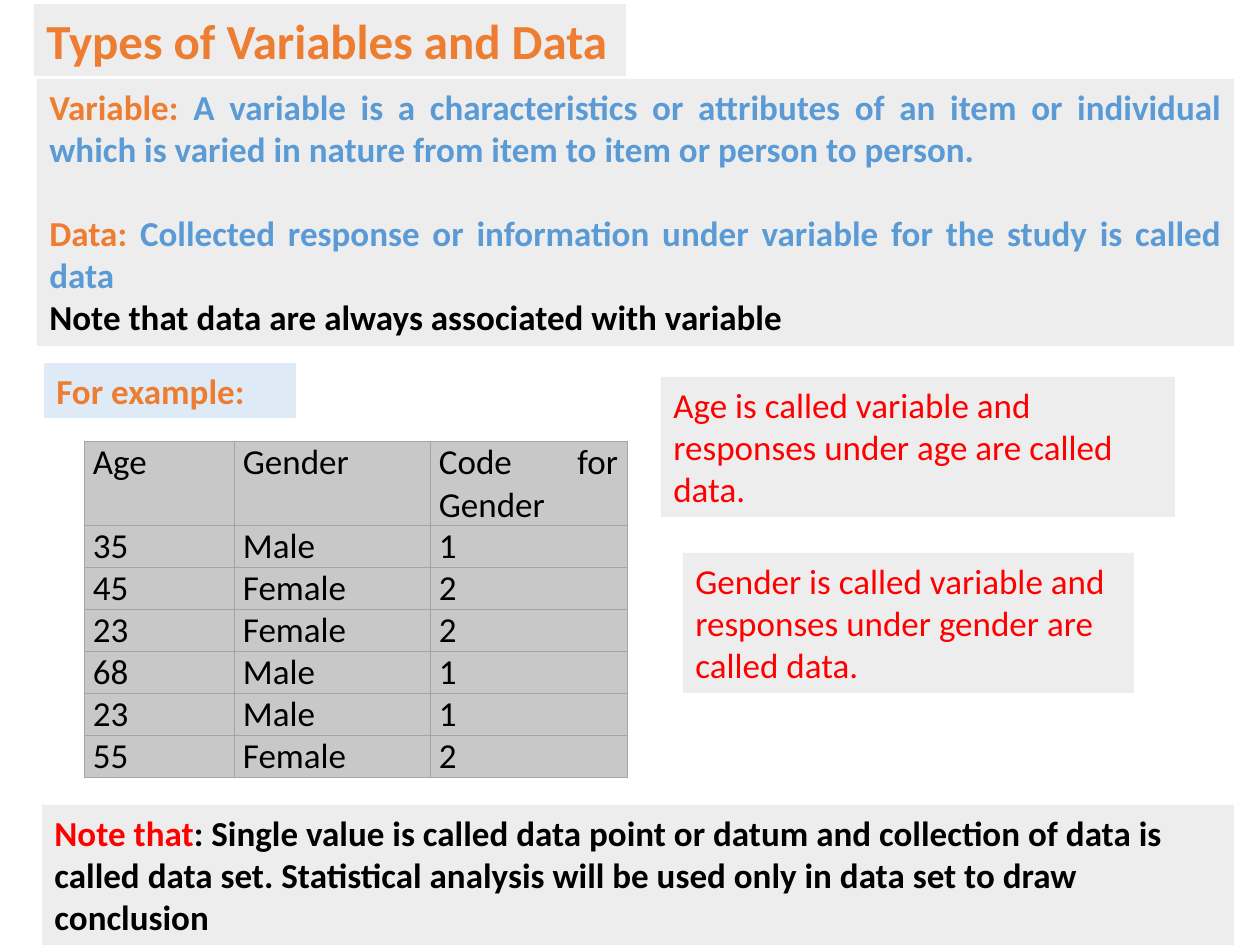
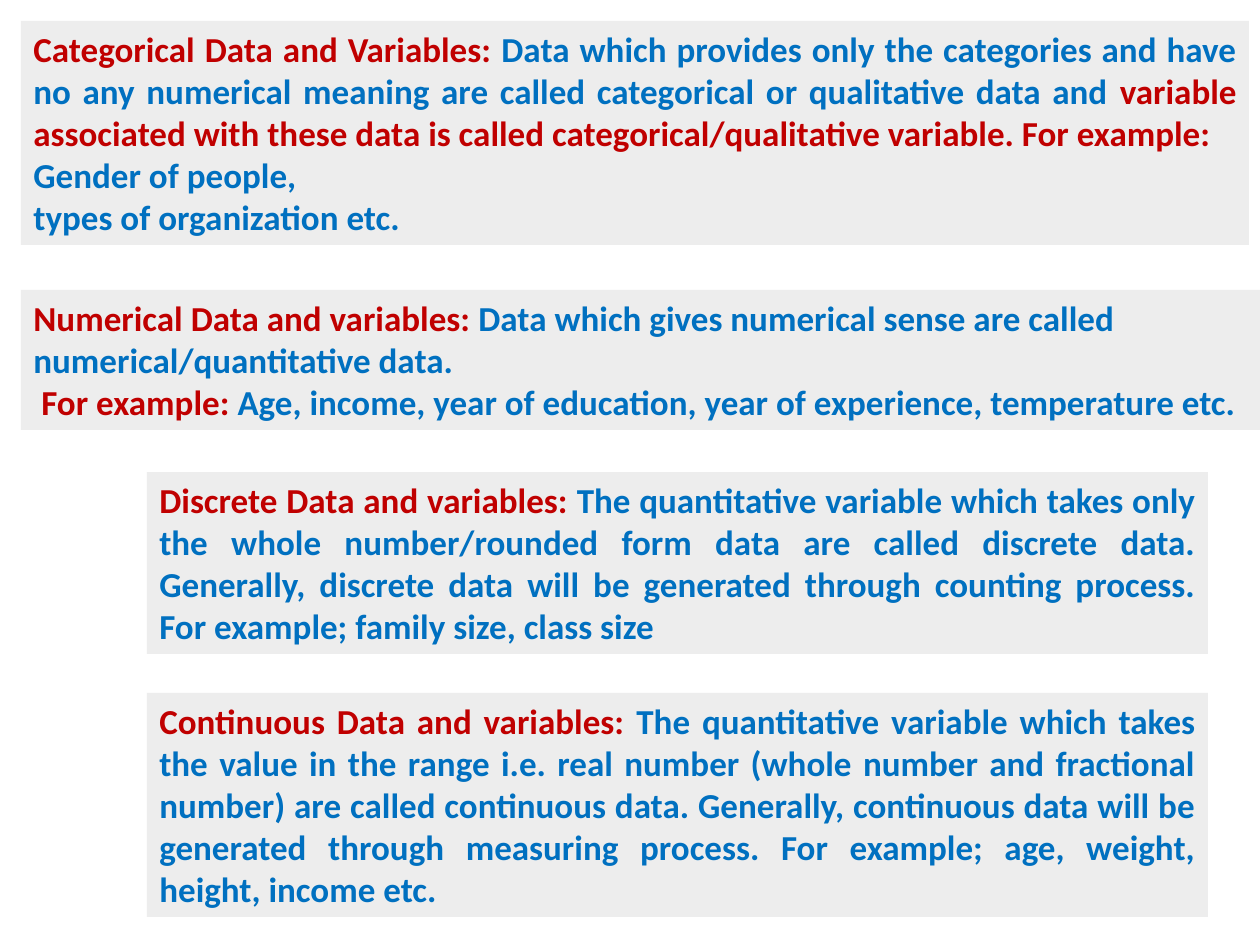
from dataclasses import dataclass
from typing import NamedTuple

from lxml.etree import SubElement
from pptx import Presentation
from pptx.dml.color import RGBColor as Rgb
from pptx.enum.text import MSO_ANCHOR as Anchor, MSO_AUTO_SIZE as Fit, PP_ALIGN as Align
from pptx.oxml.ns import qn
from pptx.util import Pt

SCALE = 914400 / 126
FONT = "Calibri"
BODY = 20
HUES = {
    "panel": "EDEDED", "label": "DEEBF7", "cell": "C8C8C8", "grid": "A5A5A5",
    "orange": "ED7D31", "sky": "5B9BD5", "black": "000000",
    "red": "FF0000", "dark": "C00000", "blue": "0070C0",
}


class Run(NamedTuple):
    """A stretch of text in one colour."""
    text: str
    hue: str


class Para(NamedTuple):
    """A paragraph with the gap above it (points) and its indent (pixels)."""
    runs: list[Run]
    gap: int = 0
    indent: int = 0


@dataclass
class Panel:
    """A filled text box; its place is in pixels."""
    left: int
    top: int
    width: int
    height: int
    paras: list[Para]
    even: bool = False
    bold: bool = True
    size: int = BODY
    fill: str = "panel"
    anchor: Anchor = Anchor.TOP


def px(count: float) -> int:
    """Turn pixels into EMU."""
    return round(count * SCALE)


def color(hue: str) -> Rgb:
    """Look up a colour by name."""
    return Rgb.from_string(HUES[hue])


def add_run(para, run: Run, size: int, bold: bool) -> None:
    """Add one styled run to a paragraph."""
    part = para.add_run()
    part.text = run.text
    font = part.font
    font.name, font.size, font.bold = FONT, Pt(size), bold
    font.color.rgb = color(run.hue)


def add_panel(slide, panel: Panel) -> None:
    """Draw one panel with its paragraphs."""
    box = slide.shapes.add_textbox(
        px(panel.left), px(panel.top), px(panel.width), px(panel.height))
    box.fill.solid()
    box.fill.fore_color.rgb = color(panel.fill)
    frame = box.text_frame
    frame.word_wrap = True
    frame.auto_size = Fit.SHAPE_TO_FIT_TEXT
    frame.vertical_anchor = panel.anchor
    for i, item in enumerate(panel.paras):
        para = frame.add_paragraph() if i else frame.paragraphs[0]
        para.alignment = Align.JUSTIFY if panel.even else Align.LEFT
        if item.gap:
            para.space_before = Pt(item.gap)
        if item.indent:
            para._p.get_or_add_pPr().set("marL", str(px(item.indent)))
        for run in item.runs:
            add_run(para, run, panel.size, panel.bold)


def add_edges(cell) -> None:
    """Give a cell a thin line on all four sides."""
    props = cell._tc.get_or_add_tcPr()
    for i, side in enumerate(("lnL", "lnR", "lnT", "lnB")):
        line = props.makeelement(qn(f"a:{side}"), {"w": str(Pt(0.5))})
        props.insert(i, line)
        fill = SubElement(line, qn("a:solidFill"))
        SubElement(fill, qn("a:srgbClr"), val=HUES["grid"])


def add_grid(slide, left: int, top: int, cols: list[int], rows: list[int],
             data: list[tuple[str, ...]]) -> None:
    """Draw a bordered table; column and row sizes are in pixels."""
    table = slide.shapes.add_table(
        len(rows), len(cols), px(left), px(top), px(sum(cols)), px(sum(rows))).table
    table.first_row = table.horz_banding = False
    for col, width in zip(table.columns, cols):
        col.width = px(width)
    for row, height, texts in zip(table.rows, rows, data):
        row.height = px(height)
        for cell, text in zip(row.cells, texts):
            cell.margin_left = cell.margin_right = px(9)
            cell.margin_top = cell.margin_bottom = 0
            cell.fill.solid()
            cell.fill.fore_color.rgb = color("cell")
            add_edges(cell)
            para = cell.text_frame.paragraphs[0]
            para.alignment = Align.JUSTIFY
            add_run(para, Run(text, "black"), BODY, False)


def term(head: str, text: str) -> Para:
    """Make a dark red heading followed by its blue meaning."""
    return Para([Run(head + " ", "dark"), Run(text, "blue")])


CODES = {"Male": "1", "Female": "2"}
PEOPLE = [("35", "Male"), ("45", "Female"), ("23", "Female"),
          ("68", "Male"), ("23", "Male"), ("55", "Female")]
SAMPLE = [("Age", "Gender", "Code for Gender")]
SAMPLE += [(age, sex, CODES[sex]) for age, sex in PEOPLE]

TYPES = [
    Panel(34, 4, 592, 72, [Para([Run("Types of Variables and Data", "orange")])], size=28),
    Panel(37, 79, 1197, 267, [
        Para([Run("Variable: ", "orange"),
              Run("A variable is a characteristics or attributes of an item or individual "
                  "which is varied in nature from item to item or person to person.", "sky")]),
        Para([Run("Data: ", "orange"),
              Run("Collected response or information under variable for the study "
                  "is called data", "sky")], gap=24),
        Para([Run("Note that data are always associated with variable", "black")]),
    ], even=True),
    Panel(44, 363, 252, 55, [Para([Run("For example:", "orange")])],
          even=True, fill="label", anchor=Anchor.MIDDLE),
    Panel(661, 377, 514, 140, [Para([Run(
        "Age is called variable and responses under age are called data.", "red")])],
        bold=False),
    Panel(42, 805, 1192, 140, [Para([
        Run("Note that", "red"),
        Run(": Single value is called data point or datum and collection of data is called "
            "data set. Statistical analysis will be used only in data set to draw "
            "conclusion", "black")])]),
    Panel(683, 553, 451, 140, [Para([Run(
        "Gender is called variable and responses under gender are called data.", "red")])],
        bold=False),
]

KINDS = [
    Panel(21, 21, 1228, 224, [
        Para([*term("Categorical Data and Variables:",
                    "Data which provides only the categories and have no any numerical "
                    "meaning are called categorical or qualitative data and ").runs,
              Run("variable associated with these data is called "
                  "categorical/qualitative variable. For example:", "dark")]),
        Para([Run("Gender of people,", "blue")]),
        Para([Run("types of organization etc.", "blue")]),
    ], even=True),
    Panel(21, 290, 1239, 140, [
        term("Numerical Data and variables:",
             "Data which gives numerical sense are called numerical/quantitative data."),
        term("For example:", "Age, income, year of education, year of experience, "
             "temperature etc.")._replace(indent=8),
    ]),
    Panel(147, 472, 1061, 182, [term(
        "Discrete Data and variables:",
        "The quantitative variable which takes only the whole number/rounded form data "
        "are called discrete data. Generally, discrete data will be generated through "
        "counting process. For example; family size, class size")], even=True),
    Panel(147, 693, 1061, 224, [term(
        "Continuous Data and variables:",
        "The quantitative variable which takes the value in the range i.e. real number "
        "(whole number and fractional number) are called continuous data. Generally, "
        "continuous data will be generated through measuring process. For example; age, "
        "weight, height, income etc.")], even=True),
]


def main() -> None:
    """Build both slides and save them."""
    deck = Presentation()
    deck.slide_width, deck.slide_height = px(1260), px(945)
    blank = deck.slide_layouts[6]
    first, second = (deck.slides.add_slide(blank) for _ in range(2))
    for slide, panels in ((first, TYPES), (second, KINDS)):
        for panel in panels:
            add_panel(slide, panel)
    add_grid(first, 84, 441, [150, 196, 197], [84] + [42] * len(PEOPLE), SAMPLE)
    deck.save("out.pptx")


main()
